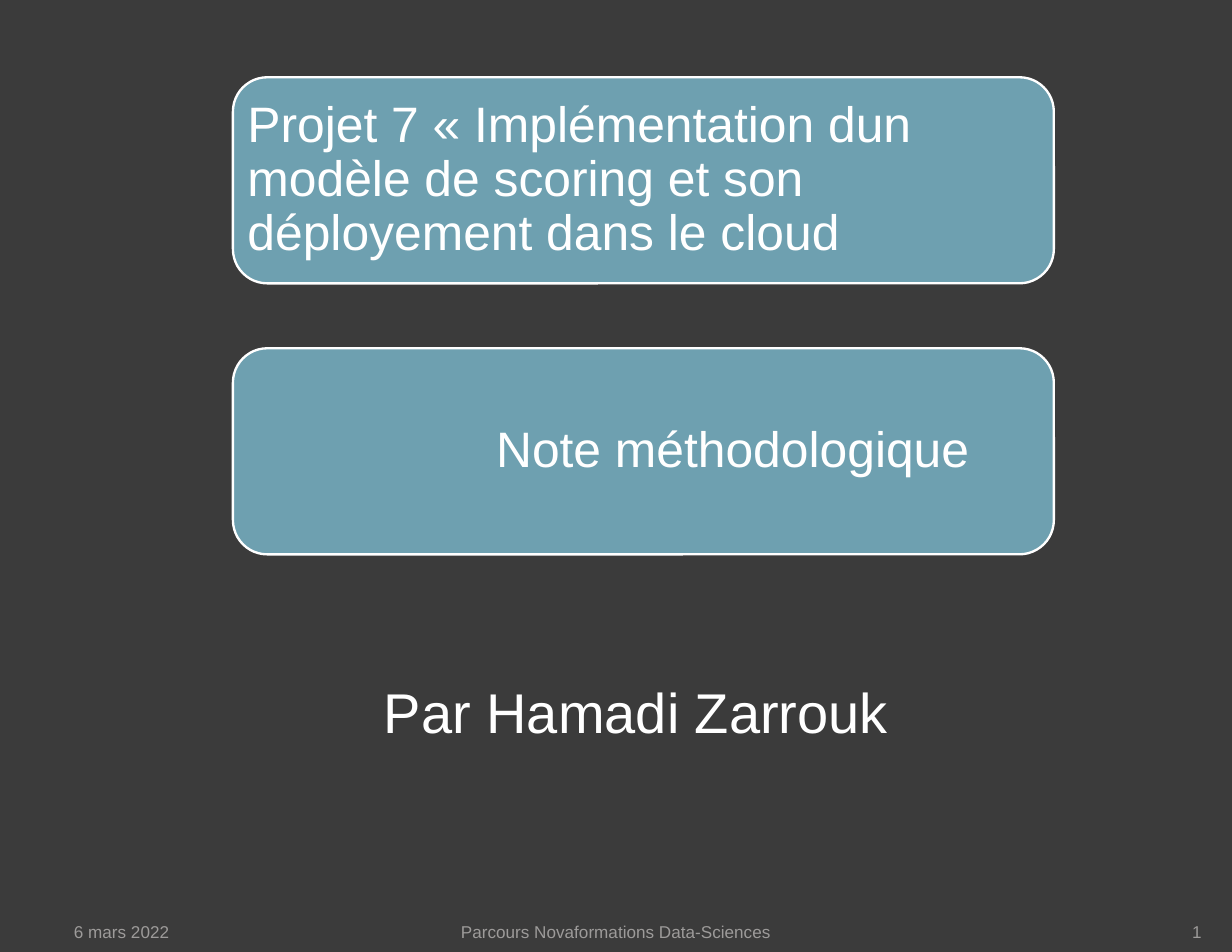
from dataclasses import dataclass

from pptx import Presentation
from pptx.dml.color import RGBColor
from pptx.enum.shapes import MSO_SHAPE
from pptx.enum.text import MSO_ANCHOR, PP_ALIGN
from pptx.util import Inches, Pt

ROUNDED = MSO_SHAPE.ROUNDED_RECTANGLE
TOP, MIDDLE, BOTTOM = MSO_ANCHOR.TOP, MSO_ANCHOR.MIDDLE, MSO_ANCHOR.BOTTOM
LEFT, CENTER, RIGHT = PP_ALIGN.LEFT, PP_ALIGN.CENTER, PP_ALIGN.RIGHT
BLANK_LAYOUT = 6


@dataclass(frozen=True)
class Theme:
    font: str = "Arial"
    background: RGBColor = RGBColor(0x3B, 0x3B, 0x3B)
    panel: RGBColor = RGBColor(0x6E, 0xA0, 0xB0)
    light: RGBColor = RGBColor(0xFF, 0xFF, 0xFF)
    muted: RGBColor = RGBColor(0x9D, 0x9B, 0x9A)
    panel_size: int = 32
    author_size: int = 36
    footer_size: int = 11
    outline: float = 1.5


class CoverSlide:
    def __init__(self, slide, theme):
        self.slide = slide
        self.theme = theme
        fill = slide.background.fill
        fill.solid()
        fill.fore_color.rgb = theme.background

    def set_text(self, shape, text, size, color, anchor, align, margins, spacing=None):
        """Fill a shape with one paragraph; margins run left, top, right, bottom."""
        frame = shape.text_frame
        sides = ("margin_left", "margin_top", "margin_right", "margin_bottom")
        frame_format = {"word_wrap": True, "vertical_anchor": anchor}
        frame_format.update(zip(sides, map(Inches, margins)))
        for name, value in frame_format.items():
            setattr(frame, name, value)
        paragraph = frame.paragraphs[0]
        paragraph.alignment = align
        paragraph.line_spacing = spacing
        run = paragraph.add_run()
        run.text = text
        for name, value in {"name": self.theme.font, "size": Pt(size)}.items():
            setattr(run.font, name, value)
        run.font.color.rgb = color

    def panel(self, text, box, indent=0):
        theme = self.theme
        panel = self.slide.shapes.add_shape(ROUNDED, *map(Inches, box))
        panel.shadow.inherit = False
        panel.fill.solid()
        panel.fill.fore_color.rgb = theme.panel
        panel.line.color.rgb = theme.light
        panel.line.width = Pt(theme.outline)
        # The rounded corners already inset the text by 0.09 inch.
        self.set_text(panel, text, theme.panel_size, theme.light, MIDDLE, LEFT,
                      (0.04 + indent, 0.04, 0.04, 0.04), 0.9)

    def author(self, text, box):
        theme = self.theme
        author = self.slide.shapes.add_textbox(*map(Inches, box))
        self.set_text(author, text, theme.author_size, theme.light, TOP, LEFT,
                      (0.1, 0.05, 0.1, 0.05))

    def footer(self, text, left, width, align, margins, spacing=None):
        theme = self.theme
        box = (left, 7.96, width, 0.45)
        footer = self.slide.shapes.add_textbox(*map(Inches, box))
        self.set_text(footer, text, theme.footer_size, theme.muted, BOTTOM, align,
                      margins, spacing)


def main():
    deck = Presentation()
    deck.slide_width, deck.slide_height = Inches(11), Inches(8.5)
    slide = deck.slides.add_slide(deck.slide_layouts[BLANK_LAYOUT])
    cover = CoverSlide(slide, Theme())

    panels = (
        ("Projet 7 « Implémentation dun modèle de scoring et son "
         "déployement dans le cloud", 0),
        ("Note méthodologique", 2.22),
    )
    first_top, pitch = 0.69, 2.42
    for row, (text, indent) in enumerate(panels):
        cover.panel(text, (2.08, first_top + row * pitch, 7.33, 1.84), indent)

    cover.author("Par Hamadi Zarrouk", (3.33, 6, 4.75, 0.71))

    cover.footer("6 mars 2022", 0.55, 2.57, LEFT, (0.11, 0.06, 0.11, 0))
    cover.footer("Parcours Novaformations Data-Sciences", 3.76, 3.48, CENTER,
                 (0, 0.06, 0, 0))
    cover.footer("1", 9.81, 0.92, RIGHT, (0, 0, 0, 0), Pt(13.2))

    deck.save("out.pptx")


if __name__ == "__main__":
    main()
